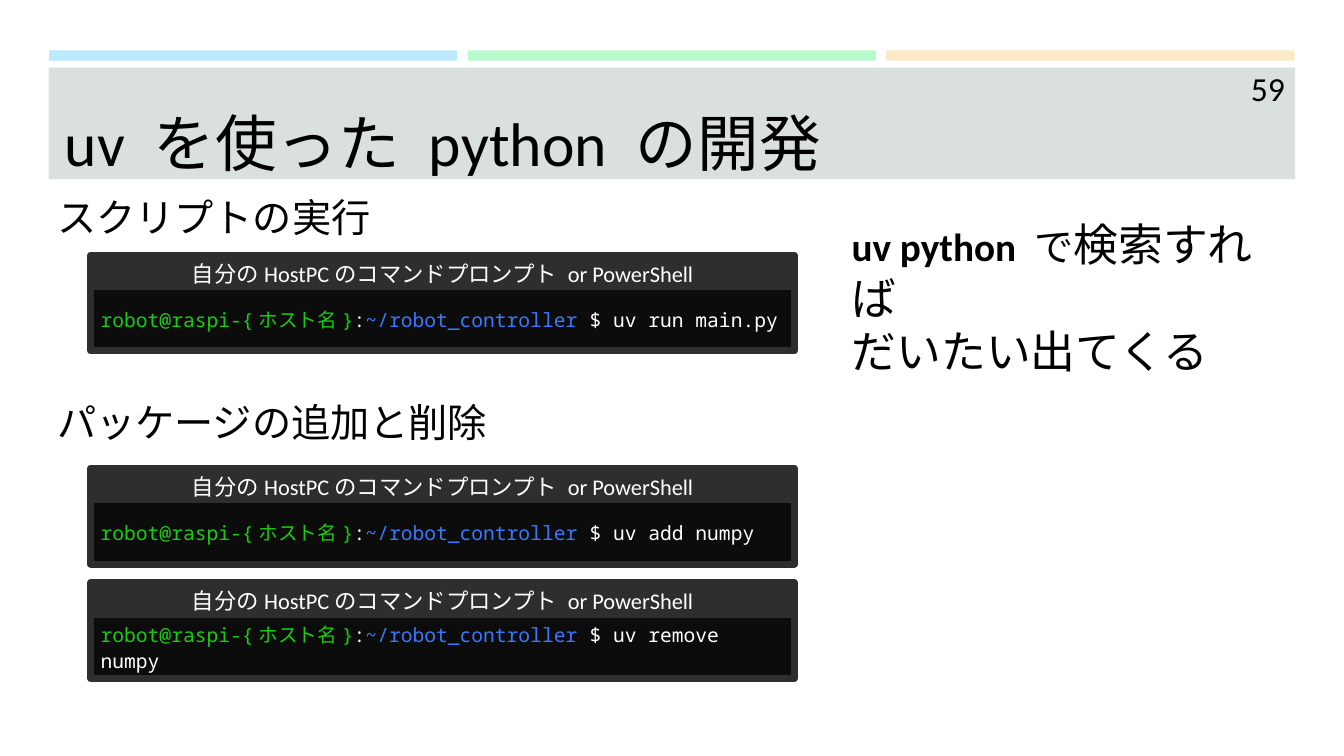
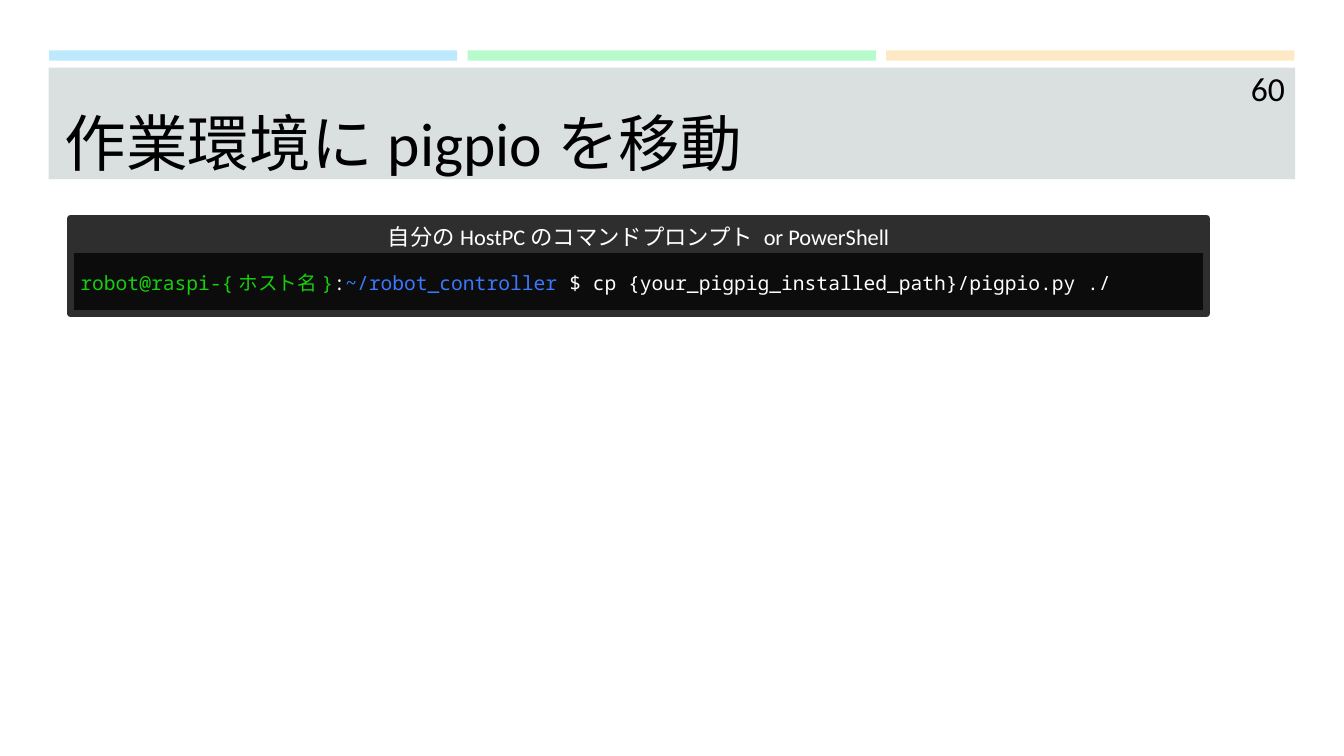
from pptx import Presentation
from pptx.dml.color import RGBColor
from pptx.enum.shapes import MSO_SHAPE
from pptx.enum.text import MSO_ANCHOR, PP_ALIGN
from pptx.util import Pt

HUES = {
    "black": "000000", "white": "FFFFFF", "sky": "BDE9FF", "mint": "B7FBCC",
    "cream": "FFE8C5", "gray": "DADFE0", "frame": "2E2E2E", "shell": "0C0C0C",
    "user": "16CE0C", "path": "3B78FE",
}
HUES = {name: RGBColor.from_string(code) for name, code in HUES.items()}
SANS, MONO = "Calibri", "Noto Sans Mono"
HEAD = "自分のHostPCのコマンドプロンプト or PowerShell"


def add_box(slide, area, fill=None, line=None):
    spots = [Pt(n) for n in area]
    if fill is None:
        return slide.shapes.add_textbox(*spots)
    box = slide.shapes.add_shape(MSO_SHAPE.RECTANGLE, *spots)
    box.shadow.inherit = False
    box.fill.solid()
    box.fill.fore_color.rgb = HUES[fill]
    if line:
        box.line.color.rgb = HUES[line]
        box.line.width = Pt(5)
    else:
        box.line.fill.background()
    return box


def add_text(box, runs, form, frame=None, para=None):
    body = box.text_frame
    body.word_wrap = True
    for key, value in (frame or {}).items():
        setattr(body, key, value)
    par = body.paragraphs[0]
    par.alignment = PP_ALIGN.LEFT
    for key, value in (para or {}).items():
        setattr(par, key, value)
    for text, hue, extra in runs:
        if text == "\n":
            par.add_line_break()
            continue
        run = par.add_run()
        run.text = text
        run.font.color.rgb = HUES[hue]
        for key, value in {**form, **extra}.items():
            setattr(run.font, key, value)


TITLE = {"name": SANS, "size": Pt(44)}
PAGE = {"name": SANS, "size": Pt(24)}
LABEL = {"name": SANS, "size": Pt(28)}
BAR = {"name": SANS, "size": Pt(16)}
CODE = {"name": MONO, "size": Pt(14)}
BIG = {"size": Pt(32)}

MIDDLE = {"vertical_anchor": MSO_ANCHOR.MIDDLE}
BOTTOM = {"vertical_anchor": MSO_ANCHOR.BOTTOM, "margin_left": Pt(11.5),
          "margin_top": 0, "margin_right": 0, "margin_bottom": 0}
TOP_BAR = {**MIDDLE, "margin_top": Pt(3.6), "margin_bottom": 0}
SHELL = {**MIDDLE, "margin_top": Pt(14.4), "margin_bottom": Pt(14.4)}

PAGES = [
    {
        "title": "uv を使った python の開発",
        "page": "59",
        "shells": [
            (64.8, 182.2, 502.6, "uv run main.py"),
            (64.8, 334.4, 502.6, "uv add numpy"),
            (64.8, 416.2, 502.6, "uv remove numpy"),
        ],
        "notes": [
            ((33.8, 134.6, 542, 41), [("スクリプトの実行", "black", {})]),
            ((33.8, 280.8, 542, 41), [("パッケージの追加と削除", "black", {})]),
            ((601.2, 151.2, 313.2, 85), [
                ("uv python ", "black", {"bold": True}),
                ("で", "black", {}),
                ("検索すれば", "black", BIG),
                ("\n", "black", {}),
                ("だいたい出てくる", "black", BIG),
            ]),
        ],
    },
    {
        "title": "作業環境にpigpioを移動",
        "page": "60",
        "shells": [
            (50.4, 155.8, 811.4, "cp {your_pigpig_installed_path}/pigpio.py ./"),
        ],
        "notes": [],
    },
]

deck = Presentation()
deck.slide_width, deck.slide_height = Pt(960), Pt(540)

for page in PAGES:
    slide = deck.slides.add_slide(deck.slide_layouts[6])
    for col, hue in enumerate(["sky", "mint", "cream"]):
        add_box(slide, (35 + col * 299, 36, 291.6, 7.4), hue)
    add_box(slide, (34.8, 48.4, 890.4, 79.6), "gray")
    add_text(add_box(slide, (34.8, 55.4, 880, 72.6)),
             [(page["title"], "black", {})], TITLE, BOTTOM)
    add_text(add_box(slide, (842, 48.4, 82.8, 28.8)),
             [(page["page"], "black", {})], PAGE, MIDDLE,
             {"alignment": PP_ALIGN.RIGHT})

    for left, top, width, code in page["shells"]:
        shell = add_box(slide, (left, top + 22.5, width, 46), "shell", "frame")
        add_text(shell, [
            ("robot@raspi-{ホスト名}", "user", {}),
            (":", "white", {}),
            ("~/robot_controller", "path", {}),
            (f" $ {code}", "white", {}),
        ], CODE, SHELL, {"line_spacing": 1.1})
        bar = add_box(slide, (left, top, width, 22.5), "frame", "frame")
        add_text(bar, [(HEAD, "white", {})], BAR, TOP_BAR,
                 {"alignment": PP_ALIGN.CENTER})

    for area, runs in page["notes"]:
        add_text(add_box(slide, area), runs, LABEL)

deck.save("out.pptx")
